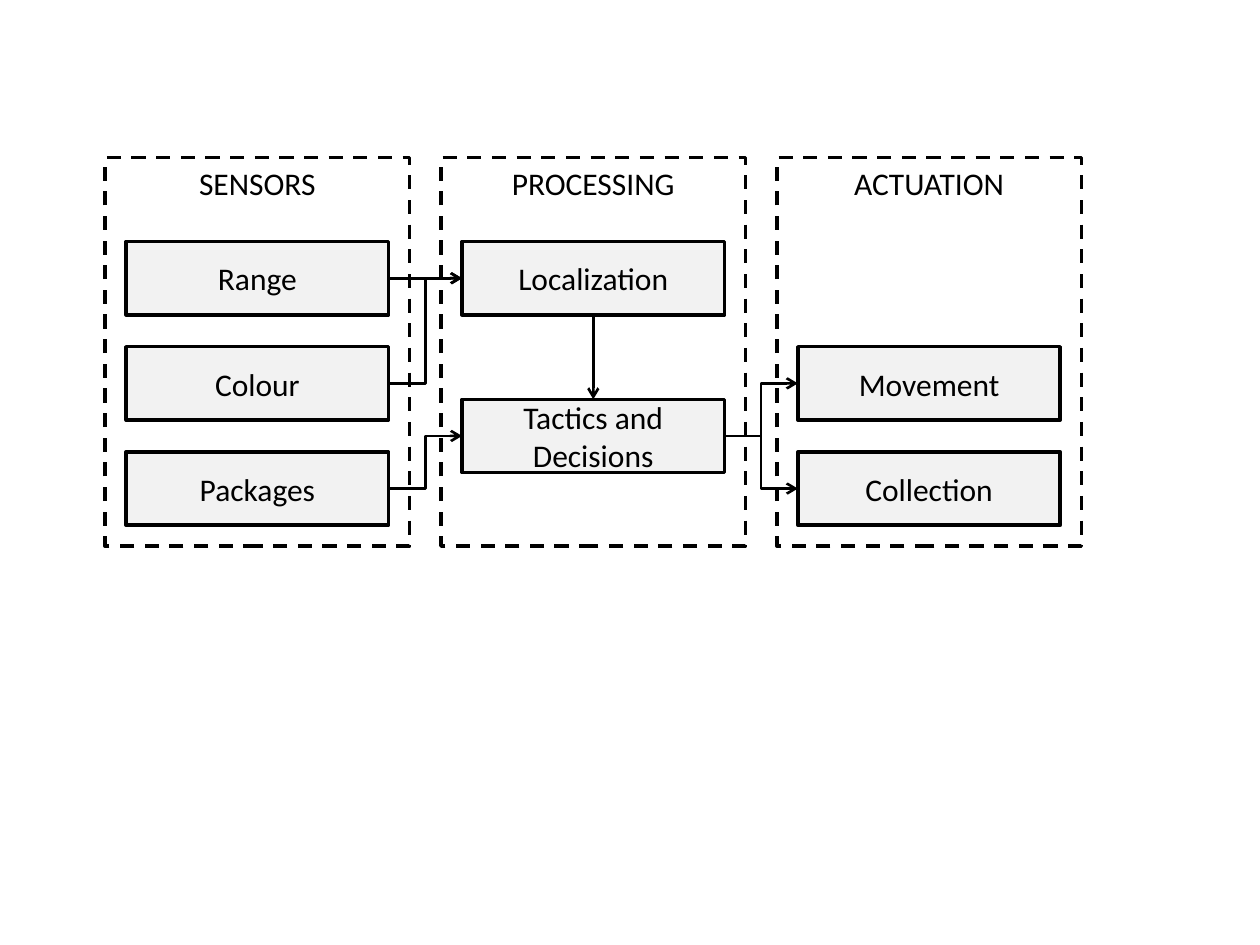
from dataclasses import dataclass

from lxml import etree
from pptx import Presentation
from pptx.dml.color import RGBColor
from pptx.enum.dml import MSO_LINE
from pptx.enum.shapes import MSO_CONNECTOR, MSO_SHAPE
from pptx.enum.text import MSO_ANCHOR, PP_ALIGN
from pptx.oxml.ns import qn
from pptx.util import Cm, Pt

RECTANGLE = MSO_SHAPE.RECTANGLE
STRAIGHT, ELBOW = MSO_CONNECTOR.STRAIGHT, MSO_CONNECTOR.ELBOW
DASH = MSO_LINE.DASH
TOP, MIDDLE = MSO_ANCHOR.TOP, MSO_ANCHOR.MIDDLE
CENTER = PP_ALIGN.CENTER
TOP_SITE, LEFT_SITE, BOTTOM_SITE, RIGHT_SITE = range(4)

STAGES = [
    ("SENSORS", [("Range", 0), ("Colour", 1), ("Packages", 2)]),
    ("PROCESSING", [("Localization", 0), ("Tactics and Decisions", 1.5)]),
    ("ACTUATION", [("Movement", 1), ("Collection", 2)]),
]
FLOWS = [
    ("Range", RIGHT_SITE, "Localization", LEFT_SITE, STRAIGHT),
    ("Colour", RIGHT_SITE, "Localization", LEFT_SITE, ELBOW),
    ("Packages", RIGHT_SITE, "Tactics and Decisions", LEFT_SITE, ELBOW),
    ("Localization", BOTTOM_SITE, "Tactics and Decisions", TOP_SITE, STRAIGHT),
    ("Tactics and Decisions", RIGHT_SITE, "Collection", LEFT_SITE, ELBOW),
    ("Tactics and Decisions", RIGHT_SITE, "Movement", LEFT_SITE, ELBOW),
]


@dataclass(frozen=True)
class Theme:
    ink: RGBColor = RGBColor(0, 0, 0)
    box_fill: RGBColor = RGBColor(0xF2, 0xF2, 0xF2)
    font: str = "Calibri"
    text_size: Pt = Pt(18)
    outline: Pt = Pt(2)
    arrow: Pt = Pt(1.5)


THEME = Theme()
STAGE_LEFT, STAGE_TOP, STAGE_PITCH = Cm(2.12), Cm(3.18), Cm(6.77)
STAGE_WIDTH, STAGE_HEIGHT = Cm(6.14), Cm(7.83)
BOX_WIDTH, BOX_HEIGHT = Cm(5.29), Cm(1.48)
FIRST_ROW, ROW_PITCH = Cm(4.87), Cm(2.12)
BOX_INSET = (STAGE_WIDTH - BOX_WIDTH) // 2


def add_rectangle(shapes, text, left, top, width, height, anchor):
    shape = shapes.add_shape(RECTANGLE, left, top, width, height)
    shape.shadow.inherit = False
    shape.line.color.rgb = THEME.ink
    shape.line.width = THEME.outline
    frame = shape.text_frame
    frame.word_wrap = True
    frame.vertical_anchor = anchor
    paragraph = frame.paragraphs[0]
    paragraph.text = text
    paragraph.alignment = CENTER
    paragraph.font.name = THEME.font
    paragraph.font.size = THEME.text_size
    paragraph.font.color.rgb = THEME.ink
    return shape


def add_box(shapes, text, stage_left, row):
    top = FIRST_ROW + int(row * ROW_PITCH)
    box = add_rectangle(shapes, text, stage_left + BOX_INSET, top,
                        BOX_WIDTH, BOX_HEIGHT, MIDDLE)
    box.fill.solid()
    box.fill.fore_color.rgb = THEME.box_fill
    return box


def add_stage(shapes, title, left):
    stage = add_rectangle(shapes, title, left, STAGE_TOP,
                          STAGE_WIDTH, STAGE_HEIGHT, TOP)
    stage.fill.background()
    stage.line.dash_style = DASH


def add_arrow(shapes, source, source_site, target, target_site, kind):
    arrow = shapes.add_connector(kind, 0, 0, 0, 0)
    arrow.begin_connect(source, source_site)
    arrow.end_connect(target, target_site)
    arrow.line.color.rgb = THEME.ink
    arrow.line.width = THEME.arrow
    etree.SubElement(arrow.line._get_or_add_ln(), qn("a:tailEnd"), type="arrow")
    etree.SubElement(arrow._element.spPr, qn("a:effectLst"))


presentation = Presentation()
presentation.slide_width, presentation.slide_height = Cm(25.4), Cm(19.05)
slide = presentation.slides.add_slide(presentation.slide_layouts[6])
shapes = slide.shapes.add_group_shape().shapes

stage_lefts = [STAGE_LEFT + i * STAGE_PITCH for i in range(len(STAGES))]
boxes = {
    name: add_box(shapes, name, left, row)
    for left, (_, items) in zip(stage_lefts, STAGES)
    for name, row in items
}
for left, (title, _) in zip(stage_lefts, STAGES):
    add_stage(shapes, title, left)
for source, source_site, target, target_site, kind in FLOWS:
    add_arrow(shapes, boxes[source], source_site, boxes[target], target_site, kind)

presentation.save("out.pptx")
